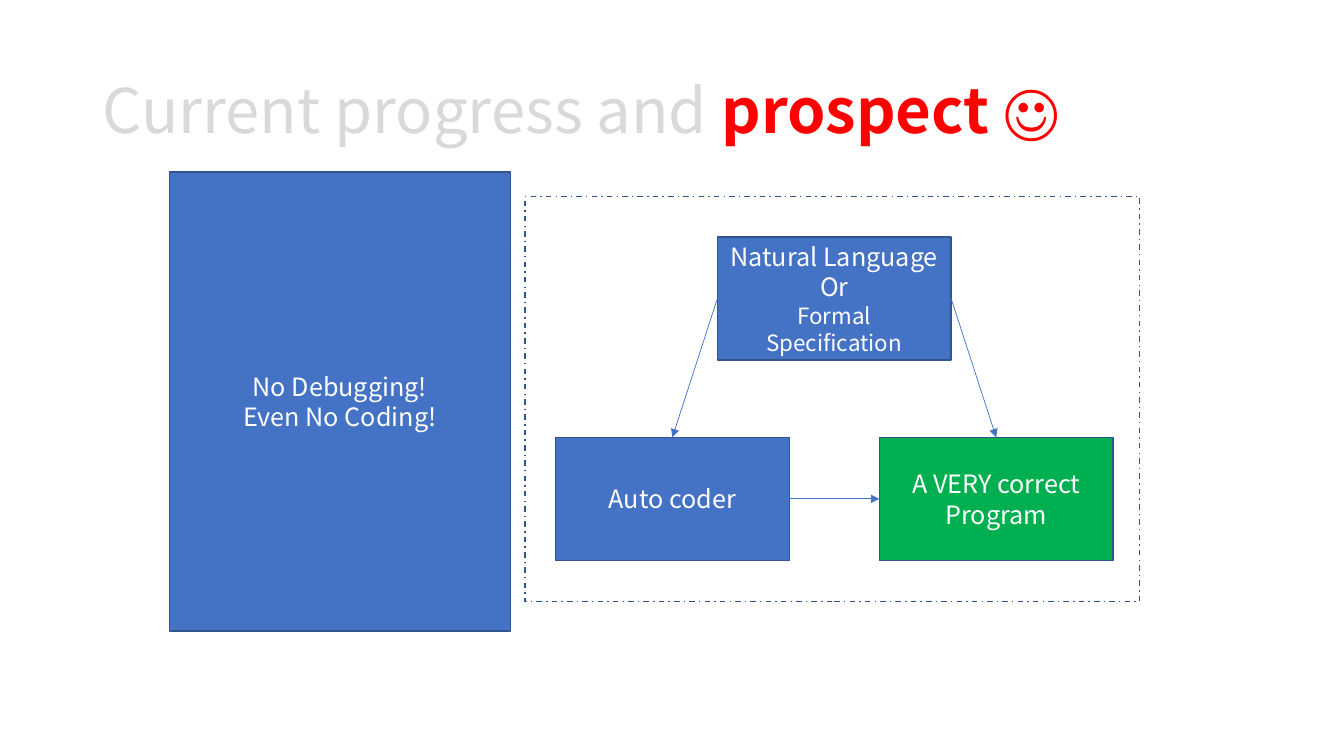
from dataclasses import dataclass

from lxml.etree import SubElement
from pptx import Presentation
from pptx.dml.color import RGBColor
from pptx.enum.dml import MSO_LINE_DASH_STYLE as Dash
from pptx.enum.shapes import MSO_CONNECTOR as ConnectorType
from pptx.enum.shapes import MSO_SHAPE as ShapeType
from pptx.enum.text import MSO_ANCHOR as Anchor
from pptx.enum.text import PP_ALIGN as Align
from pptx.oxml.ns import qn
from pptx.shapes.autoshape import Shape
from pptx.slide import Slide
from pptx.util import Cm, Pt


@dataclass(frozen=True)
class Theme:
    font: str = "Noto Sans CJK SC"
    blue: RGBColor = RGBColor(0x44, 0x72, 0xC4)
    outline: RGBColor = RGBColor(0x32, 0x54, 0x91)
    green: RGBColor = RGBColor(0x00, 0xB0, 0x50)
    white: RGBColor = RGBColor(0xFF, 0xFF, 0xFF)
    muted: RGBColor = RGBColor(0xD9, 0xD9, 0xD9)
    accent: RGBColor = RGBColor(0xFF, 0x00, 0x00)
    title_size: Pt = Pt(44)
    body_size: Pt = Pt(18)
    small_size: Pt = Pt(16)
    box_line: Pt = Pt(1)
    arrow_line: Pt = Pt(0.5)


THEME = Theme()
TOP, LEFT, RIGHT = 0, 1, 3
NODE_WIDTH, NODE_HEIGHT = 5.89, 3.1
NODE_LEFT, NODE_STEP = 14.0, 4.08
UPPER_ROW, LOWER_ROW = 5.97, 11.02


@dataclass(frozen=True)
class Line:
    text: str
    size: Pt = THEME.body_size


@dataclass(frozen=True)
class Box:
    left: float
    top: float
    width: float
    height: float
    lines: tuple[Line, ...] = ()
    fill: RGBColor | None = THEME.blue
    kind: ShapeType = ShapeType.RECTANGLE
    dash: Dash | None = None


@dataclass(frozen=True)
class Arrow:
    start: str
    start_side: int
    end: str
    end_side: int


def node(column: int, top: float, *lines: Line, fill: RGBColor = THEME.blue) -> Box:
    return Box(NODE_LEFT + column * NODE_STEP, top, NODE_WIDTH, NODE_HEIGHT,
               lines, fill, ShapeType.FLOWCHART_PROCESS)


BOXES = {
    "coder": node(0, LOWER_ROW, Line("Auto coder")),
    "specification": node(1, UPPER_ROW, Line("Natural Language"), Line("Or"),
                          Line("Formal Specification", THEME.small_size)),
    "program": node(2, LOWER_ROW, Line("A VERY correct Program"), fill=THEME.green),
    "frame": Box(13.23, 4.95, 15.49, 10.21, fill=None, dash=Dash.DASH_DOT),
    "panel": Box(4.27, 4.34, 8.59, 11.56,
                 (Line("No Debugging!"), Line("Even No Coding!"))),
}
ARROWS = (
    Arrow("coder", RIGHT, "program", LEFT),
    Arrow("specification", LEFT, "coder", TOP),
    Arrow("specification", RIGHT, "program", TOP),
)


def write_title(slide: Slide) -> None:
    title = slide.shapes.title
    title.left, title.top = Cm(2.33), Cm(1.01)
    title.width, title.height = Cm(29.21), Cm(3.68)
    title.text_frame.vertical_anchor = Anchor.MIDDLE
    paragraph = title.text_frame.paragraphs[0]
    paragraph.alignment = Align.LEFT
    paragraph.line_spacing = 0.9
    paragraph.font.name = THEME.font
    paragraph.font.size = THEME.title_size
    for text, color, bold in (("Current progress and ", THEME.muted, False),
                              ("prospect ☺", THEME.accent, True)):
        run = paragraph.add_run()
        run.text = text
        run.font.color.rgb = color
        run.font.bold = bold


def draw_box(slide: Slide, box: Box) -> Shape:
    shape = slide.shapes.add_shape(box.kind, Cm(box.left), Cm(box.top),
                                   Cm(box.width), Cm(box.height))
    shape.shadow.inherit = False
    if box.fill is None:
        shape.fill.background()
    else:
        shape.fill.solid()
        shape.fill.fore_color.rgb = box.fill
    shape.line.color.rgb = THEME.outline
    shape.line.width = THEME.box_line
    if box.dash is not None:
        shape.line.dash_style = box.dash
    frame = shape.text_frame
    frame.word_wrap = True
    frame.vertical_anchor = Anchor.MIDDLE
    for index, line in enumerate(box.lines):
        paragraph = frame.add_paragraph() if index else frame.paragraphs[0]
        paragraph.text = line.text
        paragraph.alignment = Align.CENTER
        paragraph.font.name = THEME.font
        paragraph.font.size = line.size
        paragraph.font.color.rgb = THEME.white
    return shape


def draw_arrow(slide: Slide, arrow: Arrow, shapes: dict[str, Shape]) -> None:
    connector = slide.shapes.add_connector(ConnectorType.STRAIGHT, 0, 0, 0, 0)
    connector.begin_connect(shapes[arrow.start], arrow.start_side)
    connector.end_connect(shapes[arrow.end], arrow.end_side)
    connector.line.color.rgb = THEME.blue
    connector.line.width = THEME.arrow_line
    SubElement(connector.line._get_or_add_ln(), qn("a:tailEnd"), type="triangle")
    SubElement(connector._element.spPr, qn("a:effectLst"))


def main() -> None:
    presentation = Presentation()
    presentation.slide_width, presentation.slide_height = Cm(33.87), Cm(19.05)
    slide = presentation.slides.add_slide(presentation.slide_layouts[5])
    write_title(slide)
    shapes = {name: draw_box(slide, box) for name, box in BOXES.items()}
    for arrow in ARROWS:
        draw_arrow(slide, arrow, shapes)
    presentation.save("out.pptx")


if __name__ == "__main__":
    main()
